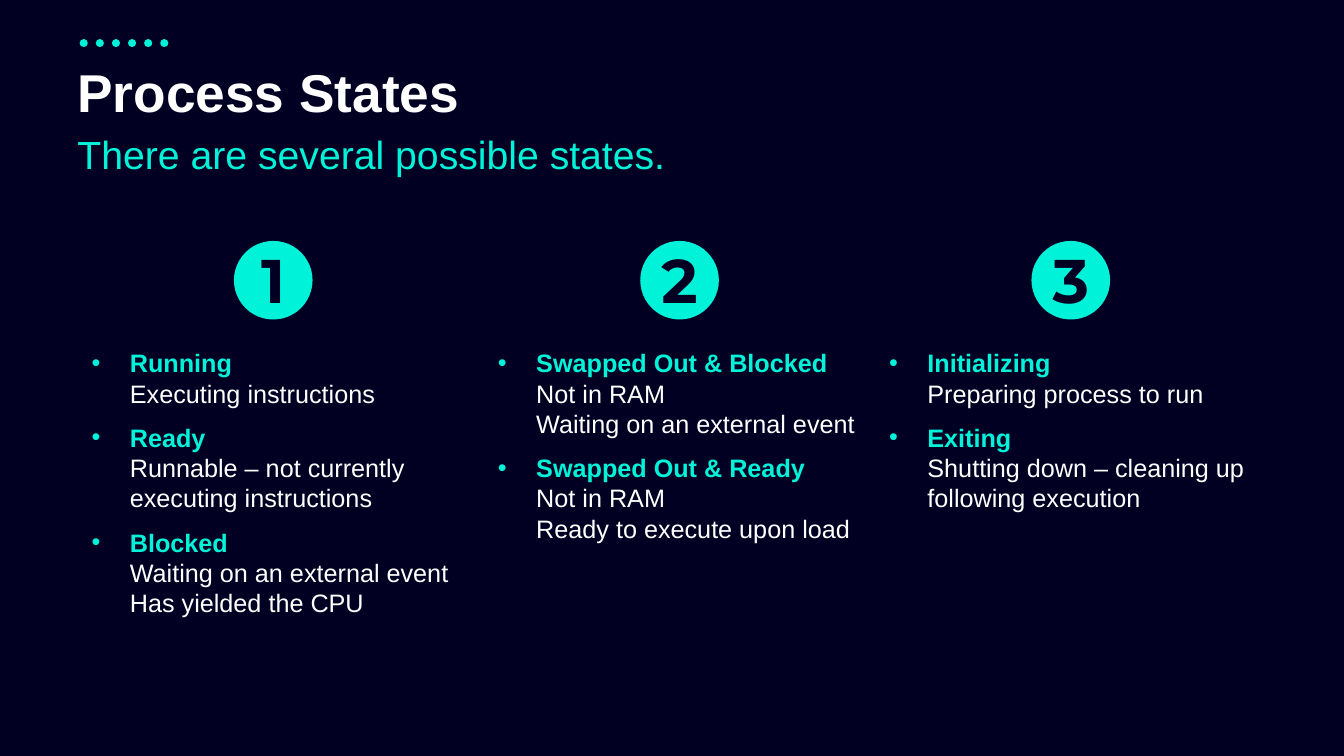
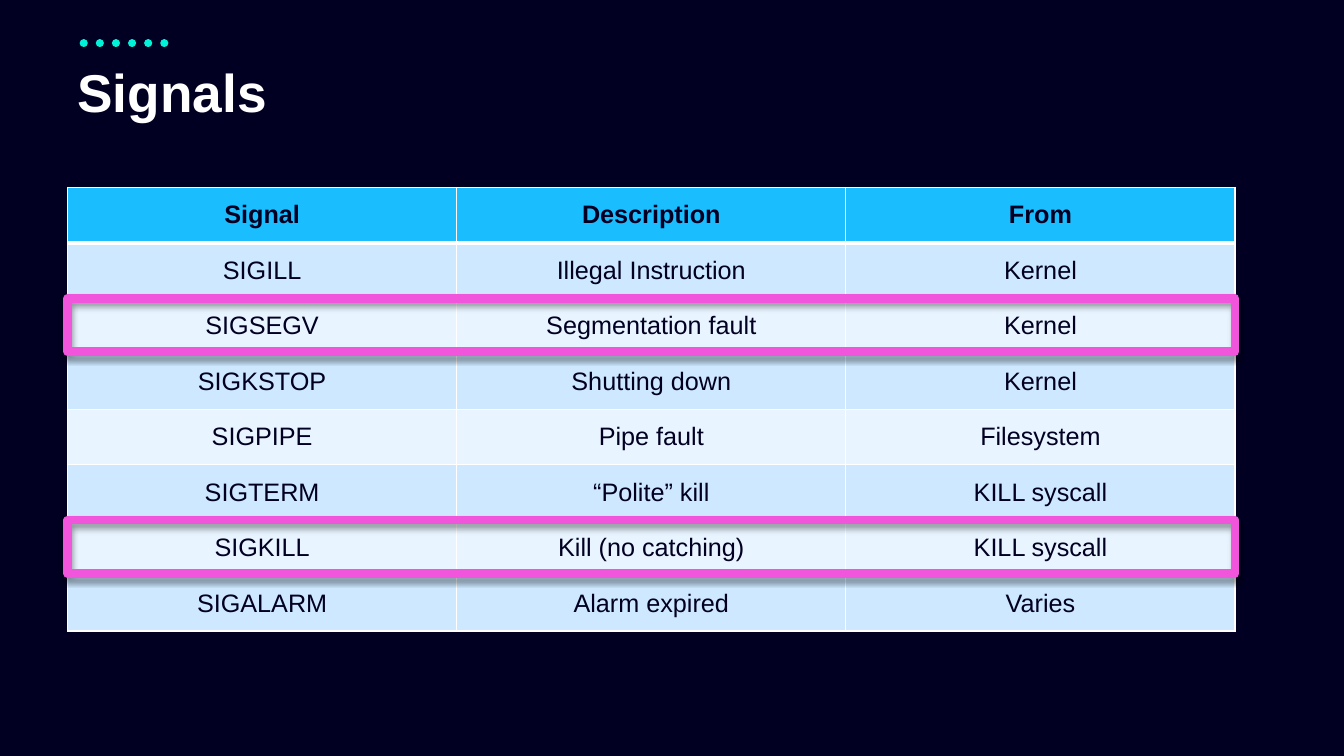
from lxml import etree
from pptx import Presentation
from pptx.dml.color import RGBColor
from pptx.enum.dml import MSO_LINE
from pptx.enum.shapes import MSO_CONNECTOR, MSO_SHAPE
from pptx.enum.text import MSO_ANCHOR, PP_ALIGN
from pptx.oxml.ns import qn
from pptx.util import Emu, Pt

EMU_PER_PX = 9144  # 100 px to the inch
NAVY, AQUA, WHITE = "010022", "00F3D8", "FFFFFF"
HEADER_BLUE, BANDS, PINK = "1ABEFF", ("CDE8FF", "E8F4FF"), "F155DC"
BODY_FONT, NUMERAL_FONT = "Arial", "Montserrat"

STATE_COLUMNS = [
    (81, [
        ("Running", ["Executing instructions"]),
        ("Ready", ["Runnable – not currently executing instructions"]),
        ("Blocked", ["Waiting on an external event", "Has yielded the CPU"]),
    ]),
    (484, [
        ("Swapped Out & Blocked", ["Not in RAM", "Waiting on an external event"]),
        ("Swapped Out & Ready", ["Not in RAM", "Ready to execute upon load"]),
    ]),
    (872, [
        ("Initializing", ["Preparing process to run"]),
        ("Exiting", ["Shutting down – cleaning up following execution"]),
    ]),
]

SIGNALS = [
    ("Signal", "Description", "From"),
    ("SIGILL", "Illegal Instruction", "Kernel"),
    ("SIGSEGV", "Segmentation fault", "Kernel"),
    ("SIGKSTOP", "Shutting down", "Kernel"),
    ("SIGPIPE", "Pipe fault", "Filesystem"),
    ("SIGTERM", "“Polite” kill", "KILL syscall"),
    ("SIGKILL", "Kill (no catching)", "KILL syscall"),
    ("SIGALARM", "Alarm expired", "Varies"),
]
HIGHLIGHTED = ("SIGSEGV", "SIGKILL")
TABLE_LEFT, TABLE_TOP, COLUMN_WIDTH, ROW_HEIGHT = 67, 186, 386, 55


def px(*lengths):
    return [Emu(length * EMU_PER_PX) for length in lengths]


def color(hex_code):
    return RGBColor.from_string(hex_code)


def child(parent, tag, **attributes):
    return etree.SubElement(parent, qn(tag), attributes)


def add_run(para, text, size, hex_code, bold=False, font=BODY_FONT):
    run = para.add_run()
    run.text = text
    run.font.size, run.font.bold, run.font.name = Pt(size), bold, font
    run.font.color.rgb = color(hex_code)


def add_text_frame(shapes, left, top, width, height):
    box = shapes.add_textbox(*px(left, top, width, height))
    box.text_frame.word_wrap = True
    return box.text_frame


def add_heading(slide, text, top, height, size, hex_code, bold=False):
    para = add_text_frame(slide.shapes, 67, top, 1176, height).paragraphs[0]
    para.line_spacing = 0.9
    add_run(para, text, size, hex_code, bold)


def add_dots(slide):
    dots = slide.shapes.add_connector(MSO_CONNECTOR.STRAIGHT, *px(83, 43, 167, 43))
    dots.line.color.rgb = color(AQUA)
    dots.line.width = Pt(5.75)
    dots.line.dash_style = MSO_LINE.ROUND_DOT
    properties = dots.element.spPr
    properties.find(qn("a:ln")).set("cap", "rnd")
    child(properties, "a:effectLst")


def add_page(deck, title):
    """Add a slide with the shared background, dots and title."""
    page = deck.slides.add_slide(deck.slide_layouts[6])
    page.background.fill.solid()
    page.background.fill.fore_color.rgb = color(NAVY)
    add_dots(page)
    add_heading(page, title, 61, 68, 38, WHITE, bold=True)
    return page


def add_badge(slide, number, left, top, side=78):
    """Add a numbered disc as one group."""
    shapes = slide.shapes.add_group_shape().shapes
    disc = shapes.add_shape(MSO_SHAPE.OVAL, *px(left, top, side, side))
    disc.shadow.inherit = False
    disc.fill.solid()
    disc.fill.fore_color.rgb = color(AQUA)
    disc.line.fill.background()
    frame = add_text_frame(shapes, left, top - 1, side, side)
    frame.margin_left = frame.margin_right = frame.margin_top = frame.margin_bottom = 0
    frame.vertical_anchor = MSO_ANCHOR.MIDDLE
    para = frame.paragraphs[0]
    para.alignment = PP_ALIGN.CENTER
    add_run(para, str(number), 44, NAVY, True, NUMERAL_FONT)


def add_bullet(para):
    indent = px(38)[0]
    properties = para._p.get_or_add_pPr()
    properties.set("marL", str(indent))
    properties.set("indent", str(-indent))
    child(child(properties, "a:buClr"), "a:srgbClr", val=AQUA)
    child(properties, "a:buFont", typeface=BODY_FONT)
    child(properties, "a:buChar", char="•")


def add_states(slide, states, left, top):
    frame = add_text_frame(slide.shapes, left, top, 381, 280)
    for index, (name, lines) in enumerate(states):
        para = frame.add_paragraph() if index else frame.paragraphs[0]
        add_bullet(para)
        if index:
            para.space_before = Pt(10)
        add_run(para, name, 18, AQUA, bold=True)
        for line in lines:
            para.add_line_break()
            add_run(para, line, 18, WHITE)


def set_borders(cell, top, bottom):
    """Draw white borders; top and bottom are widths in points."""
    properties = cell._tc.get_or_add_tcPr()
    for side, width in (("L", 1), ("R", 1), ("T", top), ("B", bottom)):
        line = child(properties, f"a:ln{side}", w=str(Pt(width)))
        child(child(line, "a:solidFill"), "a:srgbClr", val=WHITE)


def fill_cell(cell, text, row):
    is_header = row == 0
    set_borders(cell, top=3 if row == 1 else 1, bottom=3 if is_header else 1)
    cell.fill.solid()
    cell.fill.fore_color.rgb = color(HEADER_BLUE if is_header else BANDS[(row - 1) % 2])
    cell.vertical_anchor = MSO_ANCHOR.MIDDLE
    para = cell.text_frame.paragraphs[0]
    para.alignment = PP_ALIGN.CENTER
    add_run(para, text, 18, NAVY, bold=is_header)


def add_signal_table(slide):
    rows, columns = len(SIGNALS), len(SIGNALS[0])
    size = px(COLUMN_WIDTH * columns, ROW_HEIGHT * rows)
    table = slide.shapes.add_table(rows, columns, *px(TABLE_LEFT, TABLE_TOP), *size).table
    for row, texts in enumerate(SIGNALS):
        for column, text in enumerate(texts):
            fill_cell(table.cell(row, column), text, row)


def add_row_frame(slide, row):
    """Outline one table row with a soft shadow below the line."""
    frame = slide.shapes.add_shape(
        MSO_SHAPE.RECTANGLE,
        *px(TABLE_LEFT, TABLE_TOP + row * ROW_HEIGHT, COLUMN_WIDTH * len(SIGNALS[0]), 53))
    frame.shadow.inherit = False
    frame.fill.background()
    frame.line.color.rgb = color(PINK)
    frame.line.width = Pt(6)
    effects = frame.element.spPr.find(qn("a:effectLst"))
    shadow = child(effects, "a:outerShdw", blurRad=str(Pt(4)), dist=str(Pt(3)),
                   dir="5400000", rotWithShape="0")
    child(child(shadow, "a:srgbClr", val="000000"), "a:alpha", val="40000")


def add_states_page(deck):
    page = add_page(deck, "Process States")
    add_heading(page, "There are several possible states.", 130, 78, 28, AQUA)
    for number, (left, states) in enumerate(STATE_COLUMNS, start=1):
        add_states(page, states, left, 340)
        add_badge(page, number, left + 151, 239)


def add_signals_page(deck):
    page = add_page(deck, "Signals")
    add_signal_table(page)
    for row, (signal, *_) in enumerate(SIGNALS):
        if signal in HIGHLIGHTED:
            add_row_frame(page, row)


def main():
    deck = Presentation()
    deck.slide_width, deck.slide_height = px(1333, 750)
    add_states_page(deck)
    add_signals_page(deck)
    deck.save("out.pptx")


if __name__ == "__main__":
    main()
